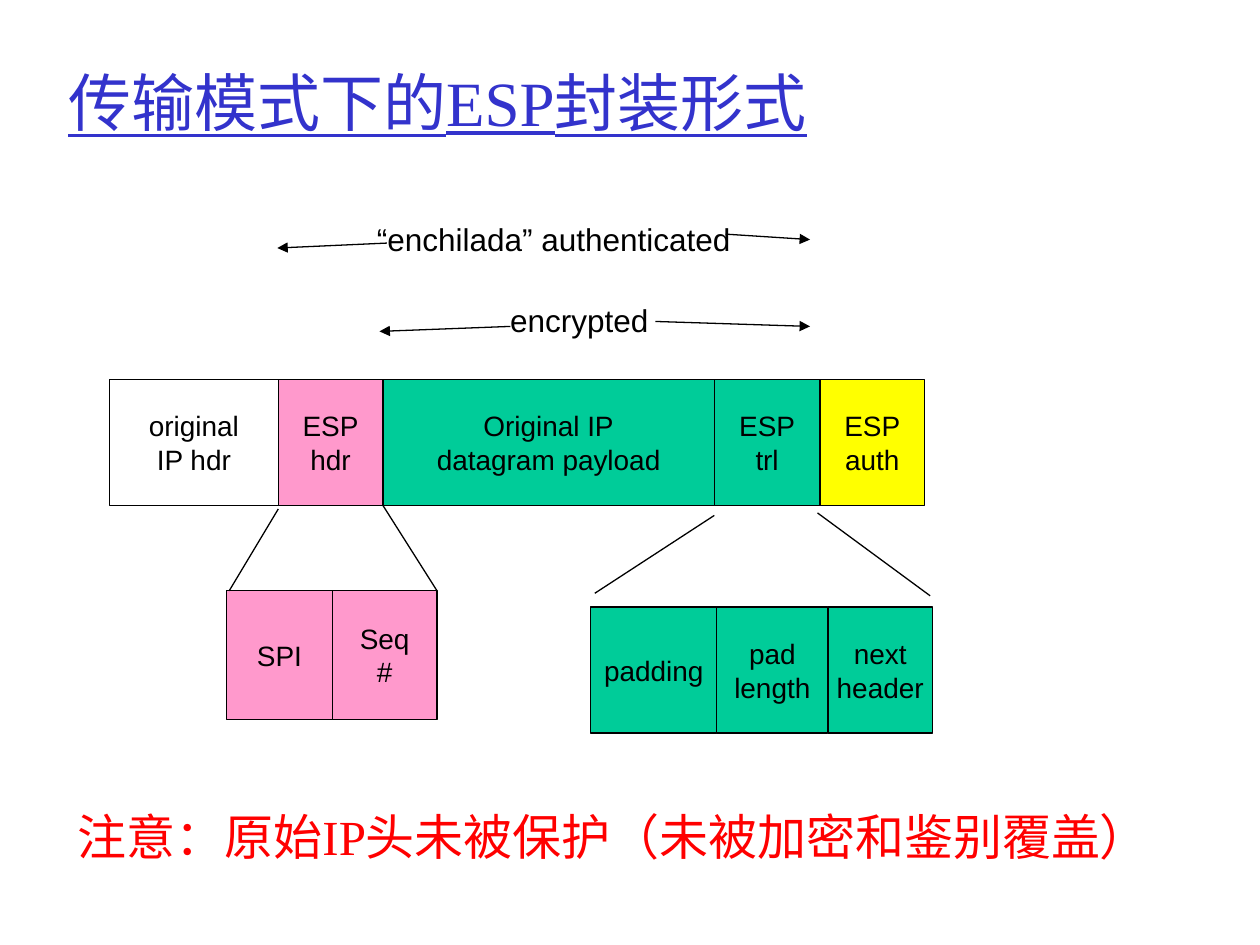
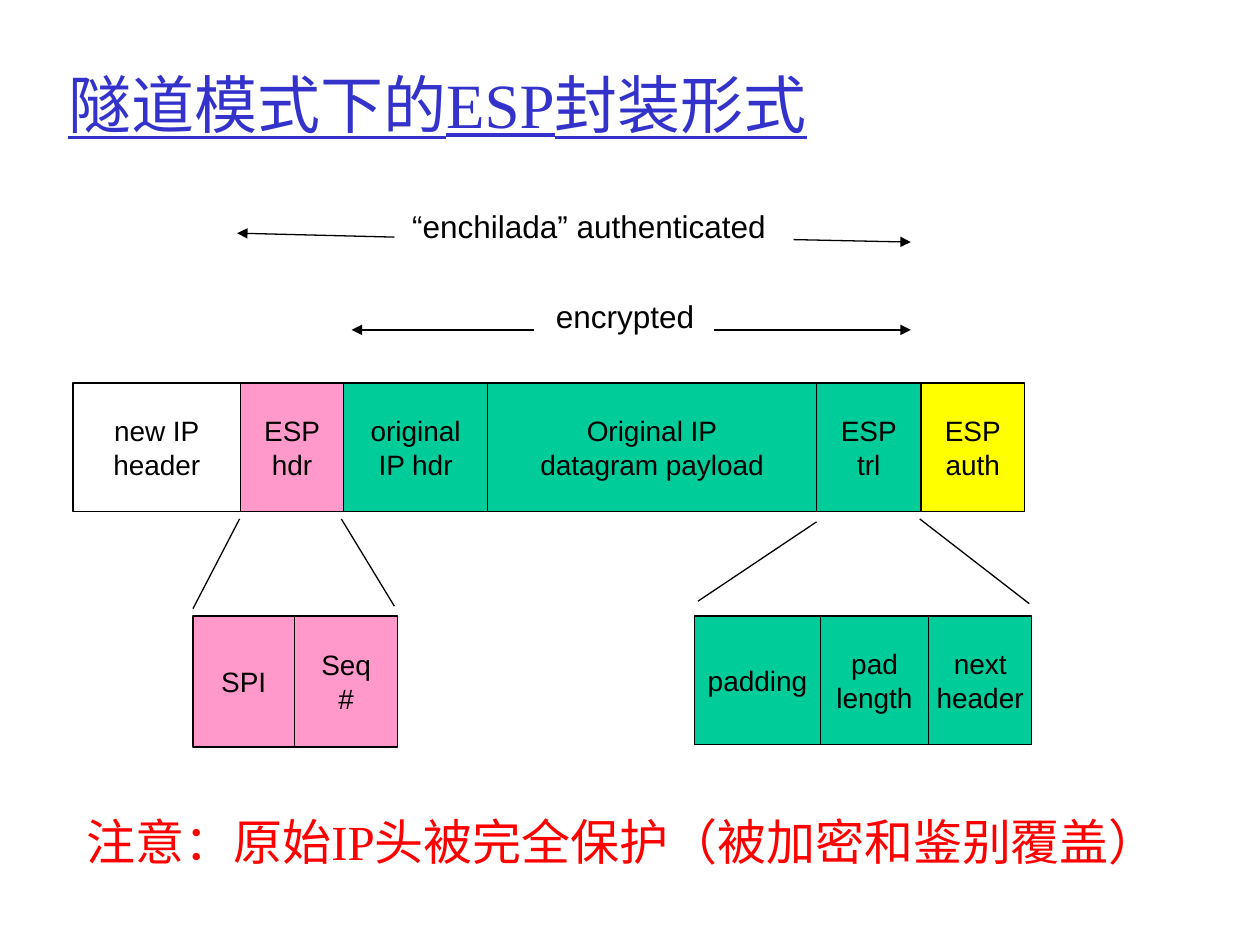
from lxml.etree import SubElement
from pptx import Presentation
from pptx.dml.color import RGBColor
from pptx.enum.shapes import MSO_CONNECTOR, MSO_SHAPE
from pptx.enum.text import MSO_ANCHOR, MSO_AUTO_SIZE, PP_ALIGN
from pptx.oxml.ns import qn
from pptx.util import Cm, Pt

COLORS = {
    "title": "3333CC", "note": "FF0000", "ink": "000000",
    "pink": "FF99CC", "green": "00CC99", "yellow": "FFFF00",
}

# Field texts: "\n" starts a paragraph, "\v" breaks a line
ESP_HDR = ("ESP\nhdr", "pink")
PAYLOAD = ("Original IP\ndatagram payload", "green")
ESP_TRL = ("ESP\ntrl", "green")
ESP_AUTH = ("ESP\nauth", "yellow")
HDR_FIELDS = [("SPI", "pink"), ("Seq\n#", "pink")]
TRL_FIELDS = [("padding", "green"), ("pad\vlength", "green"), ("next\vheader", "green")]
ENCRYPTED, AUTHENTICATED = "encrypted", "“enchilada” authenticated"
LABEL_WIDTHS = {ENCRYPTED: 3.3, AUTHENTICATED: 7.65}

# All lengths in cm; rows are (left, top, height, widths, fields),
# lines are (x1, y1, x2, y2) and arrows point at the second end
SLIDES = [
    {
        "title": "传输模式下的ESP封装形式",
        "title_height": 2.79,
        "rows": [
            (2.21, 7.65, 2.54, [3.4, 2.11, 6.68, 2.13, 2.11],
             [("original\vIP hdr", None), ESP_HDR, PAYLOAD, ESP_TRL, ESP_AUTH]),
            (11.91, 12.24, 2.54, [2.54, 2.24, 2.11], TRL_FIELDS),
            (4.57, 11.91, 2.59, [2.13, 2.11], HDR_FIELDS),
        ],
        "labels": [(ENCRYPTED, 10.03, 5.94), (AUTHENTICATED, 7.34, 4.32)],
        "arrows": [(13.21, 6.48, 16.33, 6.58), (10.29, 6.58, 7.65, 6.68),
                   (14.63, 4.72, 16.33, 4.83), (7.8, 4.9, 5.59, 5)],
        "zoom_lines": [(11.99, 11.96, 14.4, 10.39), (18.75, 12.01, 16.48, 10.34),
                       (4.62, 11.91, 5.61, 10.26), (7.72, 10.19, 8.81, 11.91)],
        "note": ("注意：原始IP头未被保护（未被加密和鉴别覆盖）", 1.32, 16.13, 23.42, 1.45),
    },
    {
        "title": "隧道模式下的ESP封装形式",
        "title_height": 2.87,
        "rows": [
            (1.47, 7.72, 2.59, [3.38, 2.08, 2.9, 6.63, 2.11, 2.08],
             [("new IP\vheader", None), ESP_HDR, ("original\vIP hdr", "green"),
              PAYLOAD, ESP_TRL, ESP_AUTH]),
            (14, 12.42, 2.59, [2.54, 2.18, 2.08], TRL_FIELDS),
            (3.89, 12.42, 2.64, [2.05, 2.08], HDR_FIELDS),
        ],
        "labels": [(ENCRYPTED, 10.95, 5.87), (AUTHENTICATED, 8.05, 4.04)],
        "arrows": [(14.4, 6.65, 18.36, 6.65), (10.77, 6.65, 7.09, 6.65),
                   (16, 4.83, 18.36, 4.88), (7.95, 4.78, 4.78, 4.7)],
        "zoom_lines": [(14.07, 12.12, 16.46, 10.52), (20.75, 12.17, 18.54, 10.46),
                       (3.89, 12.27, 4.83, 10.46), (6.88, 10.46, 7.95, 12.22)],
        "note": ("注意：原始IP头被完全保护（被加密和鉴别覆盖）", 1.5, 16.23, 22.53, 2.64),
    },
]


def rgb(name):
    return RGBColor.from_string(COLORS[name])


def write(tf, text, size, font="Arial", color="ink", align=PP_ALIGN.CENTER,
          wrap=False, underline=None):
    tf.word_wrap = wrap
    for i, line in enumerate(text.split("\n")):
        p = tf.paragraphs[0] if i == 0 else tf.add_paragraph()
        p.alignment = align
        for j, part in enumerate(line.split("\v")):
            if j:
                p.add_line_break()
            r = p.add_run()
            r.text = part
            r.font.size, r.font.name = Pt(size), font
            r.font.color.rgb = rgb(color)
            r.font.underline = underline


def add_title(s, text, height):
    sp = s.shapes.title
    sp.left, sp.top, sp.width, sp.height = Cm(1.12), Cm(0.64), Cm(22.78), Cm(height)
    tf = sp.text_frame
    tf.auto_size = MSO_AUTO_SIZE.NONE
    tf.vertical_anchor = MSO_ANCHOR.MIDDLE
    write(tf, text, 36, "Times New Roman", "title", PP_ALIGN.LEFT, True, True)


def add_row(s, left, top, height, widths, fields):
    for width, (text, fill) in zip(widths, fields):
        sp = s.shapes.add_shape(MSO_SHAPE.RECTANGLE, Cm(left), Cm(top), Cm(width), Cm(height))
        sp.shadow.inherit = False
        if fill:
            sp.fill.solid()
            sp.fill.fore_color.rgb = rgb(fill)
        else:
            sp.fill.background()
        sp.line.color.rgb, sp.line.width = rgb("ink"), Pt(0.75)
        sp.text_frame.vertical_anchor = MSO_ANCHOR.MIDDLE
        write(sp.text_frame, text, 16)
        left += width


def add_text(s, text, left, top, width, height, size, **style):
    sp = s.shapes.add_textbox(Cm(left), Cm(top), Cm(width), Cm(height))
    sp.text_frame.auto_size = MSO_AUTO_SIZE.SHAPE_TO_FIT_TEXT
    write(sp.text_frame, text, size, **style)


def add_line(s, ends, arrow=False):
    line = s.shapes.add_connector(MSO_CONNECTOR.STRAIGHT, *map(Cm, ends))
    line.line.color.rgb, line.line.width = rgb("ink"), Pt(0.75)
    if arrow:
        SubElement(line.line._get_or_add_ln(), qn("a:tailEnd"), type="triangle")
    SubElement(line._element.spPr, qn("a:effectLst"))


def main():
    prs = Presentation()
    prs.slide_width, prs.slide_height = Cm(25.4), Cm(19.05)
    for content in SLIDES:
        s = prs.slides.add_slide(prs.slide_layouts[5])
        add_title(s, content["title"], content["title_height"])
        # Packet and its enlarged header and trailer
        for row in content["rows"]:
            add_row(s, *row)
        # Coverage labels with their arrows
        for text, left, top in content["labels"]:
            add_text(s, text, left, top, LABEL_WIDTHS[text], 1.02, 18)
        for ends in content["arrows"]:
            add_line(s, ends, arrow=True)
        for ends in content["zoom_lines"]:
            add_line(s, ends)
        # Closing remark
        add_text(s, *content["note"], 28, font="Times New Roman", color="note",
                 align=PP_ALIGN.LEFT, wrap=True)
    prs.save("out.pptx")


if __name__ == "__main__":
    main()
